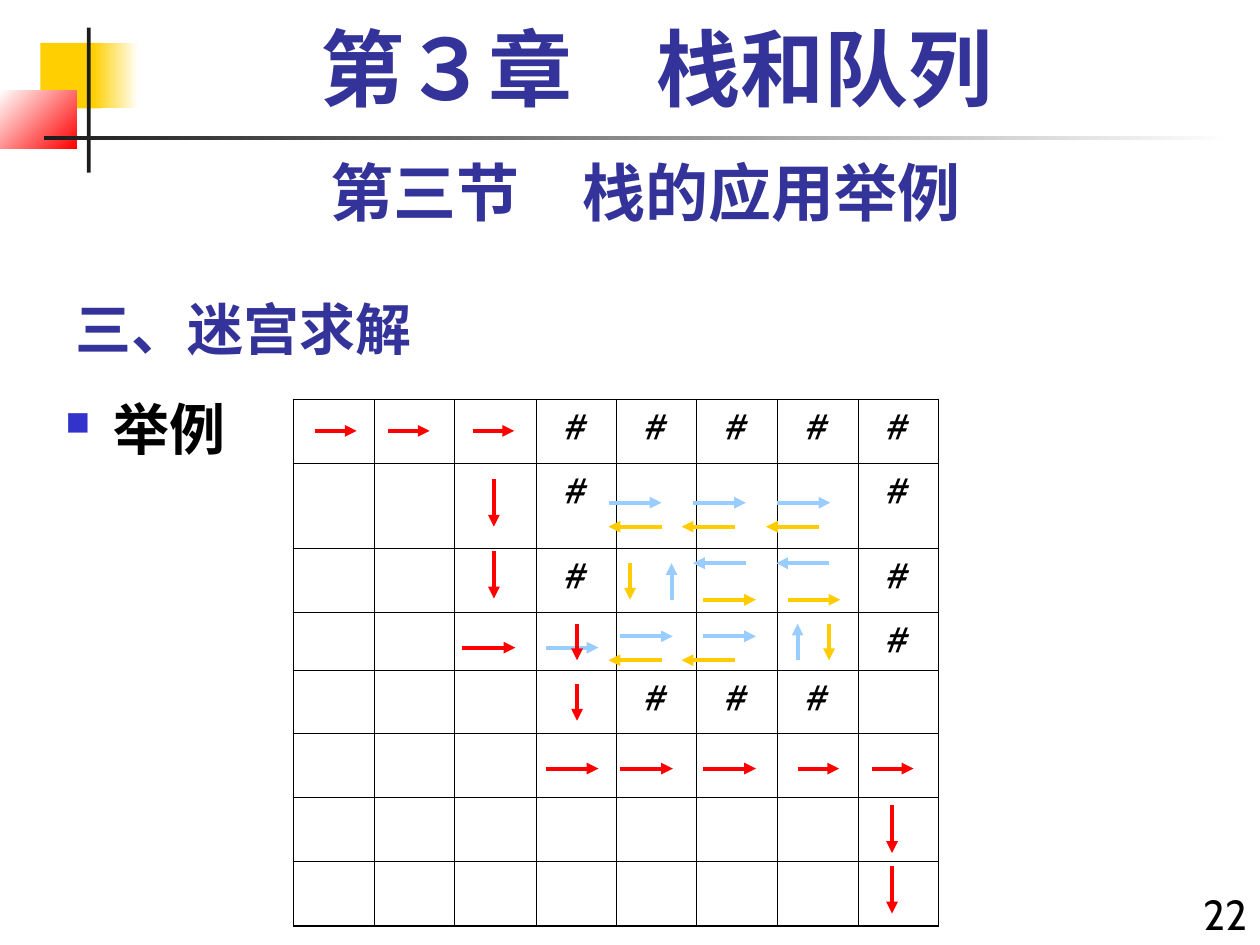
from pptx import Presentation
from pptx.dml.color import RGBColor
from pptx.enum.shapes import MSO_CONNECTOR, MSO_SHAPE
from pptx.enum.text import MSO_ANCHOR, MSO_AUTO_SIZE, PP_ALIGN
from pptx.oxml.ns import qn
from pptx.util import Emu, Pt
from lxml.etree import SubElement

PX = 9144  # EMU per px, 100 px to the inch

THEME = {
    "navy": "333399", "black": "000000", "bullet": "3333CC", "dark": "1C1C1C",
    "gold": "FFCF01", "white": "FFFFFF", "red": "FF0000", "blue": "99CCFF",
    "yellow": "FFCC00",
    "cjk": "Noto Sans CJK SC", "latin": "Cabin", "serif": "Times New Roman",
    "chapter": 48, "section": 36, "heading": 32, "page": 24, "wall": 20,
    "arrow": 2.25, "outer": 1.08, "inner": 0.45,
}

# Content: decoration as (box, colours, angle)
DECORATION = [
    ((32, 34, 48, 52), ["gold"], 0),
    ((74, 34, 36, 52), ["gold", "white"], 0),
    ((0, 72, 61, 46), ["white", "red"], 315),
    ((69, 22, 3, 115), ["dark"], 0),
    ((35, 108, 945, 3), ["dark", "white"], 0),
]

HEADING = {"text": "三、迷宫求解", "box": (50, 217, 625, 75), "size": "heading",
           "font": "cjk", "color": "navy", "bold": True,
           "align": PP_ALIGN.LEFT, "before": 0}
TEXTS = [
    {"text": "22", "box": (933, 700, 67, 59), "size": "page", "font": "latin",
     "color": "black", "bold": False, "align": PP_ALIGN.RIGHT, "before": 15},
    {"text": "第三节　栈的应用举例", "box": (50, 117, 925, 70), "size": "section",
     "font": "latin", "color": "navy", "bold": True,
     "align": PP_ALIGN.CENTER, "before": 22.5},
    {"text": "举例", "box": (42, 308, 958, 442), "size": "heading", "font": "cjk",
     "color": "black", "bold": True, "align": PP_ALIGN.LEFT, "before": 28,
     "bullet": "■"},
    {"text": "第３章　栈和队列", "box": (67, 17, 908, 83), "size": "chapter",
     "font": "serif", "color": "navy", "bold": True,
     "align": PP_ALIGN.CENTER, "before": 12, "spacing": 0.9},
]
WALL = {"size": "wall", "font": "latin", "color": "black", "bold": False,
        "align": PP_ALIGN.CENTER, "before": 5}

MAZE = ["...#####",
        "...#...#",
        "...#...#",
        ".......#",
        "....###.",
        "........",
        "........",
        "........"]
MAZE_ORIGIN = (233, 317)
COLUMNS = [64, 64, 65, 63, 64, 64, 64, 64]
ROWS = [51, 67, 51, 46, 50, 51, 51, 51]

# Moves as (colour, step, start points)
ARROWS = [
    ("blue", (42, 0), [(433, 514), (492, 505), (558, 505),
                       (483, 399), (550, 399), (617, 399)]),
    ("blue", (-42, 0), [(658, 447), (592, 447)]),
    ("blue", (0, -29), [(633, 524), (533, 476)]),
    ("yellow", (-42, 0), [(650, 418), (583, 418), (525, 418),
                          (583, 524), (525, 524)]),
    ("yellow", (42, 0), [(558, 476), (625, 476)]),
    ("yellow", (0, 29), [(500, 447), (658, 495)]),
    ("red", (33, 0), [(250, 342), (308, 342), (375, 342), (633, 610), (692, 610)]),
    ("red", (42, 0), [(367, 514), (433, 610), (492, 610), (558, 610)]),
    ("red", (0, 38), [(392, 380), (392, 437), (708, 639), (708, 687)]),
    ("red", (0, 29), [(458, 495), (458, 543)]),
]


def rgb(name):
    return RGBColor.from_string(THEME[name])


def emu(lengths):
    return [Emu(length * PX) for length in lengths]


def write(frame, text, style):
    paragraph = frame.paragraphs[0]
    layout = {"alignment": style["align"], "space_before": Pt(style["before"]),
              "line_spacing": style.get("spacing")}
    for name, value in layout.items():
        setattr(paragraph, name, value)
    run = paragraph.add_run()
    run.text = text
    font = {"size": Pt(THEME[style["size"]]), "bold": style["bold"],
            "name": THEME[style["font"]]}
    for name, value in font.items():
        setattr(run.font, name, value)
    run.font.color.rgb = rgb(style["color"])
    run.font._element.find(qn("a:latin")).addnext(
        run.font._element.makeelement(qn("a:ea"), {"typeface": THEME["cjk"]}))
    if "bullet" in style:
        add_bullet(paragraph, style["bullet"])


def add_bullet(paragraph, character):
    properties = paragraph._p.get_or_add_pPr()
    properties.set("marL", str(38 * PX))
    properties.set("indent", str(-38 * PX))
    color = SubElement(properties, qn("a:buClr"))
    SubElement(color, qn("a:srgbClr"), val=THEME["bullet"])
    SubElement(properties, qn("a:buSzPct"), val="60000")
    SubElement(properties, qn("a:buChar"), char=character)


def add_decoration(slide, box, colors, angle):
    shape = slide.shapes.add_shape(MSO_SHAPE.RECTANGLE, *emu(box))
    shape.shadow.inherit = False
    shape.line.fill.background()
    if len(colors) == 1:
        shape.fill.solid()
        shape.fill.fore_color.rgb = rgb(colors[0])
        return
    shape.fill.gradient()
    shape.fill.gradient_angle = angle
    for stop, color in zip(shape.fill.gradient_stops, colors):
        stop.color.rgb = rgb(color)


def add_heading(slide):
    title = slide.shapes.title
    for name, value in zip(("left", "top", "width", "height"), emu(HEADING["box"])):
        setattr(title, name, value)
    title.text_frame.vertical_anchor = MSO_ANCHOR.BOTTOM
    title.text_frame.auto_size = MSO_AUTO_SIZE.NONE
    write(title.text_frame, HEADING["text"], HEADING)


def add_border(cell, side, weight):
    line = SubElement(cell._tc.get_or_add_tcPr(), qn(f"a:ln{side}"),
                      w=str(Pt(THEME[weight])))
    SubElement(SubElement(line, qn("a:solidFill")), qn("a:srgbClr"),
               val=THEME["black"])


def add_maze(slide):
    box = (*MAZE_ORIGIN, sum(COLUMNS), sum(ROWS))
    table = slide.shapes.add_table(len(ROWS), len(COLUMNS), *emu(box)).table
    table.first_row = table.horz_banding = False
    for column, width in zip(table.columns, emu(COLUMNS)):
        column.width = width
    for row, height in zip(table.rows, emu(ROWS)):
        row.height = height
    for r, marks in enumerate(MAZE):
        for c, mark in enumerate(marks):
            cell = table.cell(r, c)
            edges = {"L": c == 0, "R": c == len(COLUMNS) - 1,
                     "T": r == 0, "B": r == len(ROWS) - 1}
            for side, is_outer in edges.items():
                add_border(cell, side, "outer" if is_outer else "inner")
            cell.fill.background()
            if mark == "#":
                write(cell.text_frame, mark, WALL)


def add_arrow(shapes, color, start, step):
    end = (start[0] + step[0], start[1] + step[1])
    arrow = shapes.add_connector(MSO_CONNECTOR.STRAIGHT, *emu(start + end))
    arrow.line.color.rgb = rgb(color)
    arrow.line.width = Pt(THEME["arrow"])
    SubElement(arrow.line._get_or_add_ln(), qn("a:tailEnd"), type="triangle")
    SubElement(arrow._element.spPr, qn("a:effectLst"))


def main():
    presentation = Presentation()
    presentation.slide_width, presentation.slide_height = emu((1000, 750))
    slide = presentation.slides.add_slide(presentation.slide_layouts[5])

    # Corner decoration and texts
    for box, colors, angle in DECORATION:
        add_decoration(slide, box, colors, angle)
    add_heading(slide)
    for style in TEXTS:
        frame = slide.shapes.add_textbox(*emu(style["box"])).text_frame
        frame.word_wrap = True
        write(frame, style["text"], style)

    # Maze and the moves through it
    add_maze(slide)
    moves = slide.shapes.add_group_shape().shapes
    for color, step, starts in ARROWS:
        for start in starts:
            add_arrow(moves, color, start, step)

    presentation.save("out.pptx")


if __name__ == "__main__":
    main()
